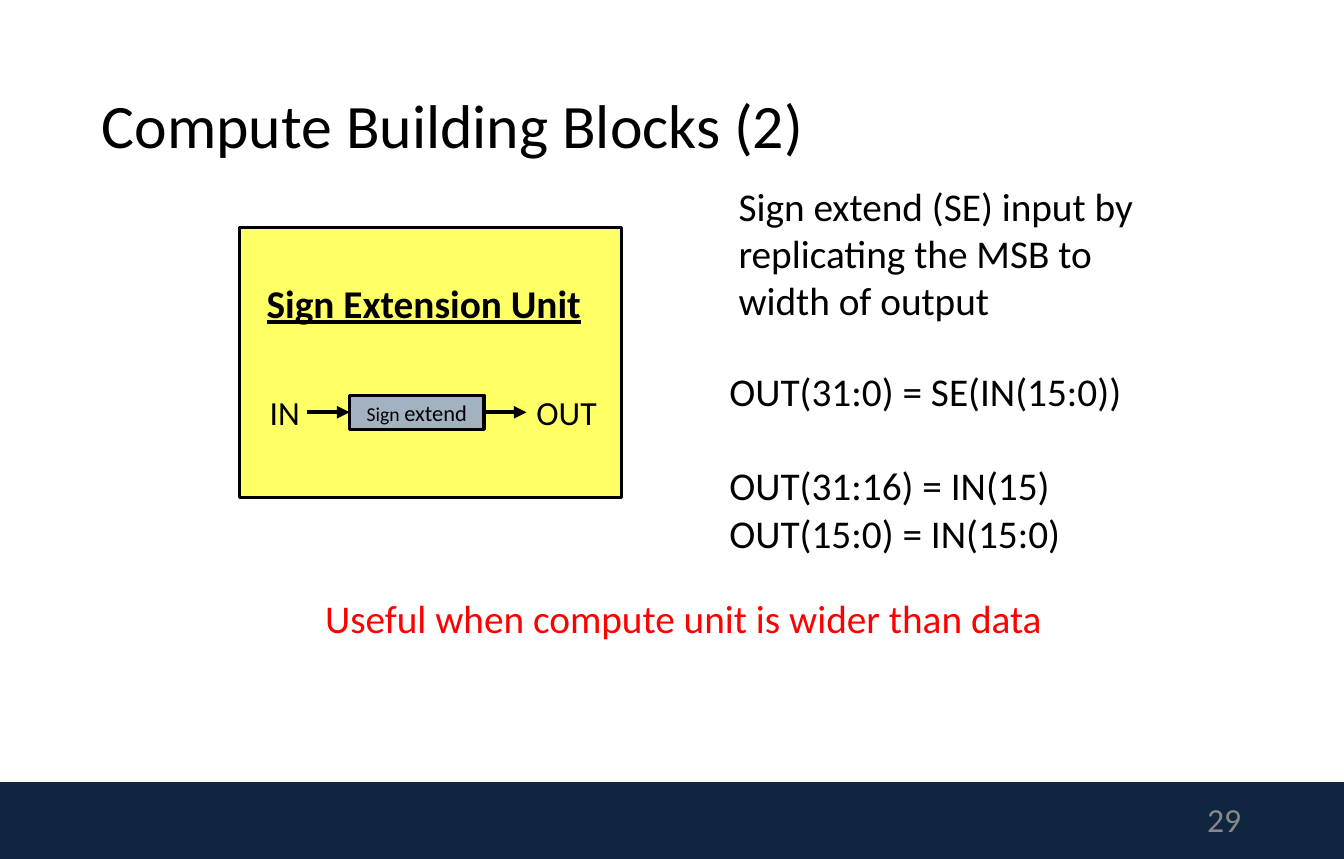
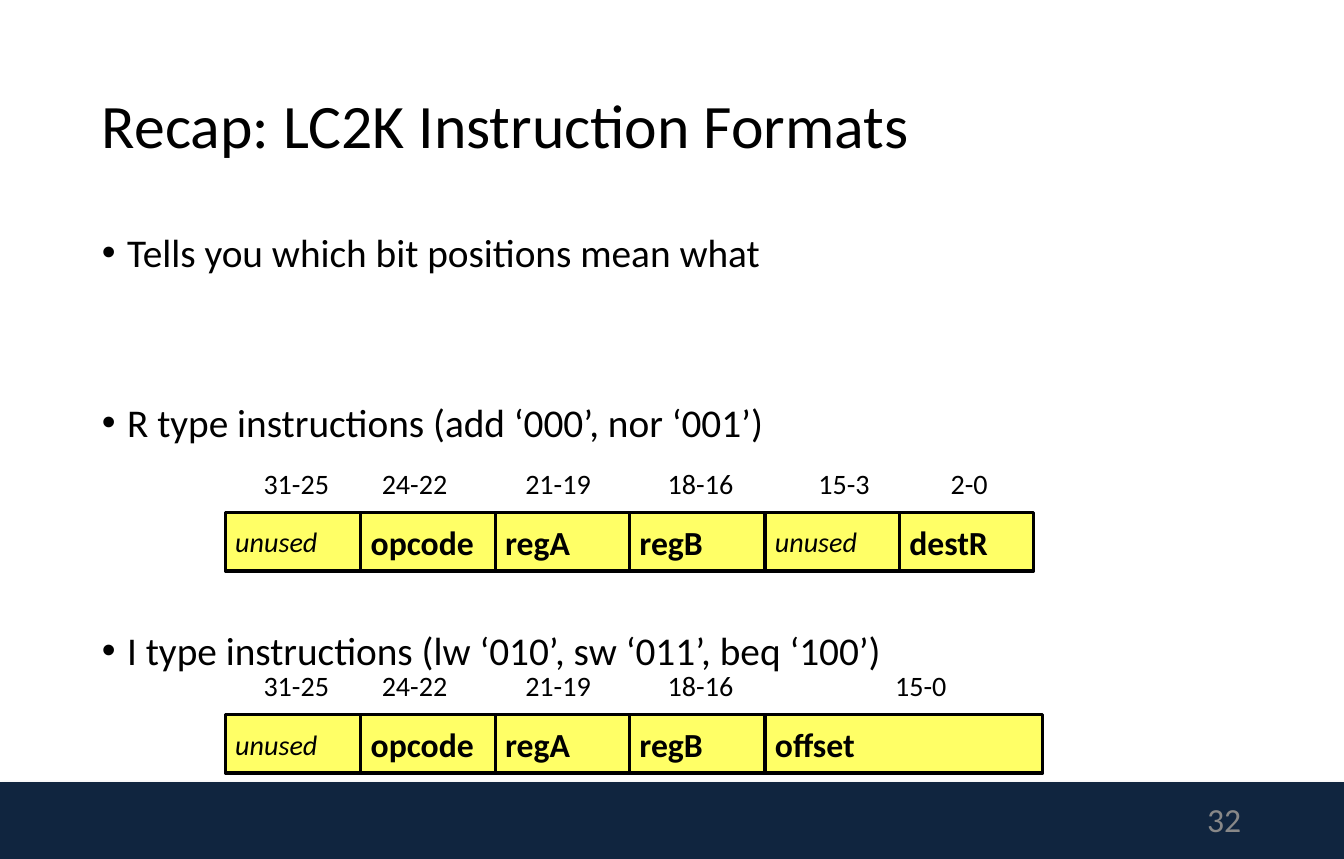
from dataclasses import dataclass

from lxml.etree import SubElement
from pptx import Presentation
from pptx.dml.color import RGBColor
from pptx.enum.shapes import MSO_CONNECTOR, MSO_SHAPE
from pptx.enum.text import MSO_ANCHOR, PP_ALIGN
from pptx.oxml import parse_xml
from pptx.oxml.ns import nsdecls, qn
from pptx.util import Pt

PX = 9144  # EMU per px, 100 px to the inch


@dataclass(frozen=True)
class Theme:
    font: str = "Calibri"
    ink: str = "000000"
    paper: str = "FFFFFF"
    band: str = "10253F"
    number: str = "888888"
    block: str = "FFFF66"
    unit: str = "A3B2C1"
    alert: str = "FF0000"
    title_size: int = 44
    body_size: int = 28
    label_size: int = 24
    bits_size: int = 20
    unit_size: int = 16
    small_size: int = 14
    outline: float = 2.25
    arrow: float = 3


THEME = Theme()


def px(*lengths):
    return [length * PX for length in lengths]


def color(code):
    return RGBColor.from_string(code)


# ---- Text ----

def add_bullet(paragraph):
    properties = paragraph._p.get_or_add_pPr()
    properties.set("marL", str(25 * PX))
    properties.set("indent", str(-25 * PX))
    SubElement(properties, qn("a:buFont")).set("typeface", "Arial")
    SubElement(properties, qn("a:buChar")).set("char", "•")


def write_text(shape, text, *, size=THEME.body_size, ink=THEME.ink, bold=False,
               italic=False, underline=False, align=PP_ALIGN.LEFT,
               anchor=MSO_ANCHOR.TOP, wrap=True, line_spacing=None,
               gaps=(), bullets=False):
    """Write a string, or a list of paragraphs; a paragraph may be (text, size) runs."""
    frame = shape.text_frame
    frame.word_wrap = wrap
    frame.vertical_anchor = anchor
    lines = [text] if isinstance(text, str) else text
    for index, line in enumerate(lines):
        paragraph = frame.add_paragraph() if index else frame.paragraphs[0]
        if bullets:
            add_bullet(paragraph)
        paragraph.alignment = align
        if line_spacing:
            paragraph.line_spacing = line_spacing
        if index and gaps:
            paragraph.space_before = Pt(gaps[index - 1])
        for words, run_size in [(line, size)] if isinstance(line, str) else line:
            run = paragraph.add_run()
            run.text = words
            font = run.font
            font.name, font.size = THEME.font, Pt(run_size)
            font.bold, font.italic, font.underline = bold, italic, underline
            font.color.rgb = color(ink)


def add_text(slide, box, text, **text_format):
    shape = slide.shapes.add_textbox(*px(*box))
    write_text(shape, text, **text_format)


# ---- Shapes ----

def add_box(slide, box, fill, outlined=True):
    shape = slide.shapes.add_shape(MSO_SHAPE.RECTANGLE, *px(*box))
    shape.shadow.inherit = False
    shape.fill.solid()
    shape.fill.fore_color.rgb = color(fill)
    if outlined:
        shape.line.color.rgb = color(THEME.ink)
        shape.line.width = Pt(THEME.outline)
    else:
        shape.line.fill.background()
    return shape


def add_arrow(slide, start, end):
    arrow = slide.shapes.add_connector(MSO_CONNECTOR.STRAIGHT, *px(*start, *end))
    arrow.line.color.rgb = color(THEME.ink)
    arrow.line.width = Pt(THEME.arrow)
    SubElement(arrow.line._get_or_add_ln(), qn("a:tailEnd")).set("type", "triangle")
    SubElement(arrow._element.spPr, qn("a:effectLst"))
    return arrow


def add_soft_shadow(shape):
    effects = shape._element.spPr.find(qn("a:effectLst"))
    effects.append(parse_xml(
        f'<a:outerShdw {nsdecls("a")} blurRad="39370" dist="22860" dir="5400000">'
        '<a:srgbClr val="808080"><a:alpha val="35000"/></a:srgbClr></a:outerShdw>'))


# ---- Shared slide frame ----

def add_slide(presentation, title, number):
    slide = presentation.slides.add_slide(presentation.slide_layouts[6])
    slide.background.fill.solid()
    slide.background.fill.fore_color.rgb = color(THEME.paper)
    add_soft_shadow(add_box(slide, (0, 774, 1330, 76), THEME.band, outlined=False))
    add_text(slide, (91, 45, 1147, 164), title, size=THEME.title_size,
             anchor=MSO_ANCHOR.MIDDLE, line_spacing=0.9)
    add_text(slide, (939, 788, 299, 45), str(number), size=THEME.label_size,
             ink=THEME.number, align=PP_ALIGN.RIGHT, anchor=MSO_ANCHOR.MIDDLE)
    return slide


# ---- Slide contents ----

def build_sign_extension(presentation):
    slide = add_slide(presentation, "Compute Building Blocks (2)", 29)

    # Block diagram
    add_box(slide, (237, 225, 378, 267), THEME.block)
    add_text(slide, (254, 271, 334, 57), "Sign Extension Unit",
             bold=True, underline=True, wrap=False)
    add_text(slide, (257, 383, 50, 50), "IN", size=THEME.label_size, wrap=False)
    add_text(slide, (521, 383, 81, 50), "OUT", size=THEME.label_size, wrap=False)
    extender = add_box(slide, (346, 391, 133, 34), THEME.unit)
    write_text(extender, [[("Sign ", THEME.small_size), ("extend", THEME.unit_size)]],
               align=PP_ALIGN.CENTER, anchor=MSO_ANCHOR.MIDDLE)
    add_arrow(slide, (304, 408), (346, 408)).end_connect(extender, 1)
    add_arrow(slide, (479, 408), (521, 408)).begin_connect(extender, 3)

    # Explanation
    add_text(slide, (721, 175, 415, 151),
             ["Sign extend (SE) input by", "replicating the MSB to", "width of output"])
    add_text(slide, (712, 358, 413, 199),
             ["OUT(31:0) = SE(IN(15:0))", "OUT(31:16) = IN(15)", "OUT(15:0) = IN(15:0)"],
             gaps=(34, 0))
    add_text(slide, (312, 583, 737, 57), "Useful when compute unit is wider than data",
             ink=THEME.alert)


def add_instruction_format(slide, top, fields):
    """Draw a row of (name, width, bits, left of bits, width of bits) fields."""
    left = 223
    for name, width, bits, bits_left, bits_width in fields:
        add_text(slide, (bits_left, top, bits_width, 44), bits,
                 size=THEME.bits_size, wrap=False)
        unused = name == "unused"
        write_text(add_box(slide, (left, top + 50, width, 58), THEME.block), name,
                   size=THEME.bits_size if unused else THEME.label_size,
                   bold=not unused, italic=unused, anchor=MSO_ANCHOR.MIDDLE)
        left += width


def build_instruction_formats(presentation):
    slide = add_slide(presentation, "Recap: LC2K Instruction Formats", 32)
    add_text(slide, (91, 226, 1147, 539),
             ["Tells you which bit positions mean what",
              "R type instructions (add ‘000’, nor ‘001’)",
              "I type instructions (lw ‘010’, sw ‘011’, beq ‘100’)"],
             bullets=True, line_spacing=0.9, gaps=(91, 132))

    # Both formats start with the same four fields
    common_fields = [
        ("unused", 134, "31-25", 251, 86),
        ("opcode", 133, "24-22", 368, 86),
        ("regA", 133, "21-19", 510, 86),
        ("regB", 134, "18-16", 651, 86),
    ]
    add_instruction_format(slide, 457, common_fields + [
        ("unused", 133, "15-3", 800, 71),
        ("destR", 133, "2-0", 931, 57),
    ])
    add_instruction_format(slide, 657, common_fields + [
        ("offset", 275, "15-0", 876, 71),
    ])


def main():
    presentation = Presentation()
    presentation.slide_width, presentation.slide_height = px(1330, 850)
    build_sign_extension(presentation)
    build_instruction_formats(presentation)
    presentation.save("out.pptx")


if __name__ == "__main__":
    main()
